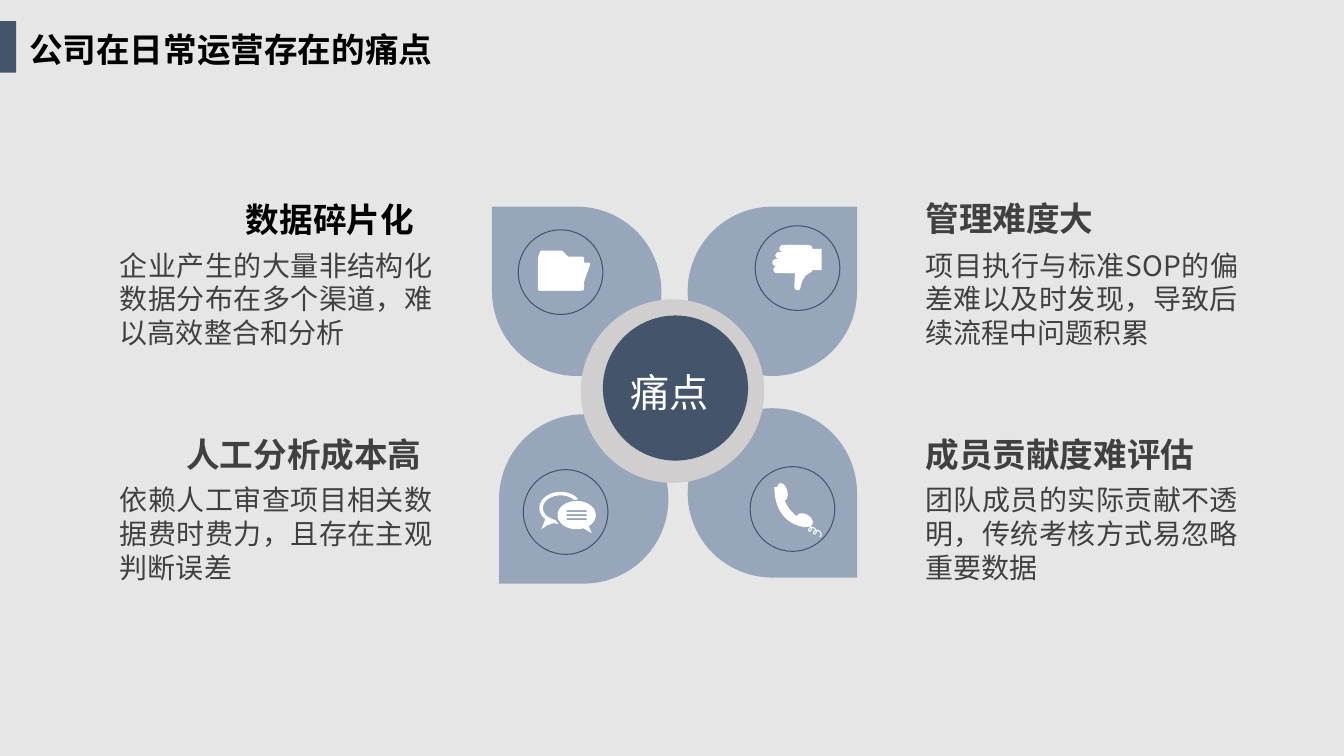
import math

import pptx
import pptx.util
import pptx.dml.color
import pptx.enum.shapes
import pptx.enum.text
import pptx.oxml
import pptx.oxml.ns

Inches, Pt = pptx.util.Inches, pptx.util.Pt
SHAPE = pptx.enum.shapes.MSO_SHAPE
ALIGN = pptx.enum.text.PP_ALIGN

# Content
TITLE = "公司在日常运营存在的痛点"
CENTER = "痛点"
# heading, body, left, heading top, heading width, body top, alignment, heading colour
PAINS = [
    ("数据碎片化 ", "企业产生的大量非结构化数据分布在多个渠道，难以高效整合和分析",
     1.06, 1.9, 3.25, 2.39, ALIGN.RIGHT, "title"),
    ("人工分析成本高", "依赖人工审查项目相关数据费时费力，且存在主观判断误差",
     1.06, 4.23, 3.25, 4.72, ALIGN.RIGHT, "text"),
    ("管理难度大", "项目执行与标准SOP的偏差难以及时发现，导致后续流程中问题积累",
     9.05, 1.89, 2.21, 2.39, ALIGN.LEFT, "text"),
    ("成员贡献度难评估", "团队成员的实际贡献不透明，传统考核方式易忽略重要数据",
     9.05, 4.23, 3.17, 4.72, ALIGN.LEFT, "text"),
]
# petal left, top, flips; icon ring left, top
PETALS = [
    (6.82, 2.05, (), 7.49, 2.24),
    (4.88, 2.05, ("flipH",), 5.14, 2.28),
    (6.82, 4.05, ("flipV",), 7.44, 4.63),
    (4.95, 4.11, ("flipH", "flipV"), 5.19, 4.66),
]
PETAL_SIZE, RING_SIZE = 1.68, 0.84
DISCS = [(5.76, 2.97, 1.82, "rim"), (5.98, 3.13, 1.44, "dark")]

THEME = {
    "font": "Noto Sans CJK SC",
    "bg": "E7E6E6", "petal": "8497B0", "rim": "D0CECE", "dark": "44546A",
    "white": "FFFFFF", "title": "000000", "text": "404040",
    "heading_size": 24, "body_size": 20, "center_size": 28,
}


def color(name):
    return pptx.dml.color.RGBColor.from_string(THEME[name])


# Shape helpers
def paint(s, fill=None, line=None, width=0):
    s.shadow.inherit = False
    if fill:
        s.fill.solid()
        s.fill.fore_color.rgb = color(fill)
    else:
        s.fill.background()
    if line:
        s.line.color.rgb = color(line)
        s.line.width = Pt(width)
    else:
        s.line.fill.background()
    return s


def add_preset(kind, left, top, width, height, *style):
    box = [Inches(v) for v in (left, top, width, height)]
    return paint(slide.shapes.add_shape(kind, *box), *style)


def add_oval(cx, cy, rx, ry, rotation=0):
    s = add_preset(SHAPE.OVAL, cx - rx, cy - ry, 2 * rx, 2 * ry, "white")
    s.rotation = rotation


def add_outline(contours, *style, close=True):
    builder = None
    for contour in contours:
        points = [(Inches(x), Inches(y)) for x, y in contour]
        if builder is None:
            builder = slide.shapes.build_freeform(*points[0])
        else:
            builder.move_to(*points[0])
        builder.add_line_segments(points[1:], close=close)
    paint(builder.convert_to_shape(), *style)


def add_text(text, left, top, width, height, size, ink, align,
             bold=False, inset=(0.13, 0.07), wrap=True):
    s = slide.shapes.add_textbox(*[Inches(v) for v in (left, top, width, height)])
    tf = s.text_frame
    tf.word_wrap = wrap
    tf.auto_size = pptx.enum.text.MSO_AUTO_SIZE.SHAPE_TO_FIT_TEXT
    tf.margin_left = tf.margin_right = Inches(inset[0])
    tf.margin_top = tf.margin_bottom = Inches(inset[1])
    tf.text = text
    p = tf.paragraphs[0]
    p.alignment = align
    r = p.runs[0]
    r.font.size, r.font.bold, r.font.name = Pt(THEME[size]), bold, THEME["font"]
    r.font.color.rgb = color(ink)
    ea = pptx.oxml.parse_xml('<a:ea %s typeface="%s"/>' % (
        pptx.oxml.ns.nsdecls("a"), THEME["font"]))
    r.font._element.find(pptx.oxml.ns.qn("a:latin")).addnext(ea)


# Curve rules: each returns a list of points in inches
def arc(cx, cy, rx, ry, start, end, steps=48):
    angles = [math.radians(start + (end - start) * i / steps) for i in range(steps + 1)]
    return [(cx + rx * math.cos(a), cy + ry * math.sin(a)) for a in angles]


def tapered_curve(start, bend, end, half_widths, steps=20):
    """Quadratic curve thickened on both sides."""
    def blend(t, a, b, c):
        return (1 - t) ** 2 * a + 2 * t * (1 - t) * b + t * t * c

    one_side, other_side = [], []
    for i in range(steps + 1):
        t = i / steps
        x, y = (blend(t, *axis) for axis in zip(start, bend, end))
        dx, dy = ((1 - t) * (b - a) + t * (c - b) for a, b, c in zip(start, bend, end))
        k = blend(t, *half_widths) / math.hypot(dx, dy)
        one_side.append((x - dy * k, y + dx * k))
        other_side.append((x + dy * k, y - dx * k))
    return one_side + other_side[::-1]


def coil(start, end, radius, turns, steps=48):
    points = []
    for i in range(steps + 1):
        t = i / steps
        angle = 2 * math.pi * turns * t
        points.append((start[0] + (end[0] - start[0]) * t + radius * math.sin(angle),
                       start[1] + (end[1] - start[1]) * t - radius * math.cos(angle)))
    return points


# Icons
def draw_folder():
    left, top, right, bottom = 5.35, 2.5, 5.78, 2.87
    tab_right, lip, slant = 5.57, 0.06, 0.08
    back = [(left, top + lip), (left + 0.02, top), (tab_right, top),
            (tab_right + lip, top + lip), (right, top + lip), (right, bottom), (left, bottom)]
    front = [(left + slant, 2.62), (right + lip, 2.62), (right - 0.03, bottom), (left, bottom)]
    for panel in (back, front):
        add_outline([panel], "white", "white", 2)


def draw_chat():
    # The rear bubble is an open ring with a tail
    cx, cy, rx, ry, rim = 5.56, 5.04, 0.21, 0.16, 0.035
    outer = arc(cx, cy, rx, ry, -33, -224)
    tail = [(5.37, 5.25), (5.43, 5.21), (5.49, 5.19), (5.54, 5.2), (5.51, 5.16), (5.48, 5.15)]
    inner = arc(cx, cy, rx - rim, ry - rim, -224, -40)
    add_outline([outer + tail + inner], "white")
    # The front bubble is an ellipse with a tail and three cut-out text lines
    bubble = arc(5.72, 5.11, 0.19, 0.14, 69, -309) [:-1]
    bubble = arc(5.72, 5.11, 0.19, 0.14, 69, 411) + [(5.87, 5.29)]
    text_lines = [[(5.62, y), (5.62, y + 0.02), (5.82, y + 0.02), (5.82, y)]
                  for y in (5.06, 5.1, 5.14)]
    add_outline([bubble] + text_lines, "white")


def draw_phone():
    handle = tapered_curve((7.71, 4.83), (7.74, 5.14), (7.99, 5.2), (0.03, 0.06, 0.03))
    add_outline([handle], "white")
    add_oval(7.76, 4.88, 0.05, 0.09, rotation=-15)   # earpiece
    add_oval(7.98, 5.16, 0.09, 0.06, rotation=30)    # mouthpiece
    cord = coil((8.01, 5.23), (8.13, 5.3), radius=0.025, turns=2.5)
    add_outline([cord], None, "white", 0.75, close=False)


def draw_thumb_down():
    finger_top, finger_height, pitch = 2.43, 0.07, 0.07
    for i, left in enumerate((7.73, 7.69, 7.66, 7.67)):
        finger = add_preset(SHAPE.ROUNDED_RECTANGLE, left, finger_top + i * pitch,
                            7.95 - left, finger_height, "white")
        finger.adjustments[0] = 0.5
    palm = add_preset(SHAPE.ROUNDED_RECTANGLE, 7.77, 2.43, 0.29, 0.28, "white")
    palm.adjustments[0] = 0.15
    add_preset(SHAPE.RECTANGLE, 8.02, 2.47, 0.13, 0.21, "white")   # cuff
    thumb_tip = (7.91, 2.85)
    add_outline([tapered_curve((7.97, 2.66), (7.92, 2.73), thumb_tip, (0.08, 0.04, 0.03))],
                "white")
    add_oval(*thumb_tip, 0.03, 0.03)


prs = pptx.Presentation()
prs.slide_width, prs.slide_height = Inches(13.33), Inches(7.5)
slide = prs.slides.add_slide(prs.slide_layouts[6])
slide.background.fill.solid()
slide.background.fill.fore_color.rgb = color("bg")

# Petals, 80 % opaque
for left, top, flips, _, _ in PETALS:
    petal = add_preset(SHAPE.TEAR, left, top, PETAL_SIZE, PETAL_SIZE, "petal")
    for flip in flips:
        petal._element.spPr.xfrm.set(flip, "1")
    rgb = petal._element.spPr.find(".//" + pptx.oxml.ns.qn("a:srgbClr"))
    rgb.append(pptx.oxml.parse_xml(
        '<a:alpha %s val="80000"/>' % pptx.oxml.ns.nsdecls("a")))

# Central discs
for left, top, size, fill in DISCS:
    add_preset(SHAPE.OVAL, left, top, size, size, fill)

# Icons and their rings
for draw_icon in (draw_folder, draw_chat, draw_phone, draw_thumb_down):
    draw_icon()
for _, _, _, left, top in PETALS:
    add_preset(SHAPE.OVAL, left, top, RING_SIZE, RING_SIZE, None, "dark", 0.75)

# Pain points
for heading, body, left, top, width, body_top, align, ink in PAINS:
    add_text(body, left, body_top, 3.36, 1.14, "body_size", "text", ALIGN.JUSTIFY)
    add_text(heading, left, top, width, 0.54, "heading_size", ink, align, bold=True)
add_text(CENTER, 6.12, 3.58, 1.05, 0.61, "center_size", "white", ALIGN.CENTER, wrap=False)

# Title bar
add_text(TITLE, 0.19, 0.24, 5.08, 0.5, "heading_size", "title", ALIGN.LEFT,
         bold=True, inset=(0.1, 0.05))
add_preset(SHAPE.RECTANGLE, 0, 0.21, 0.16, 0.51, "dark")

prs.save("out.pptx")
